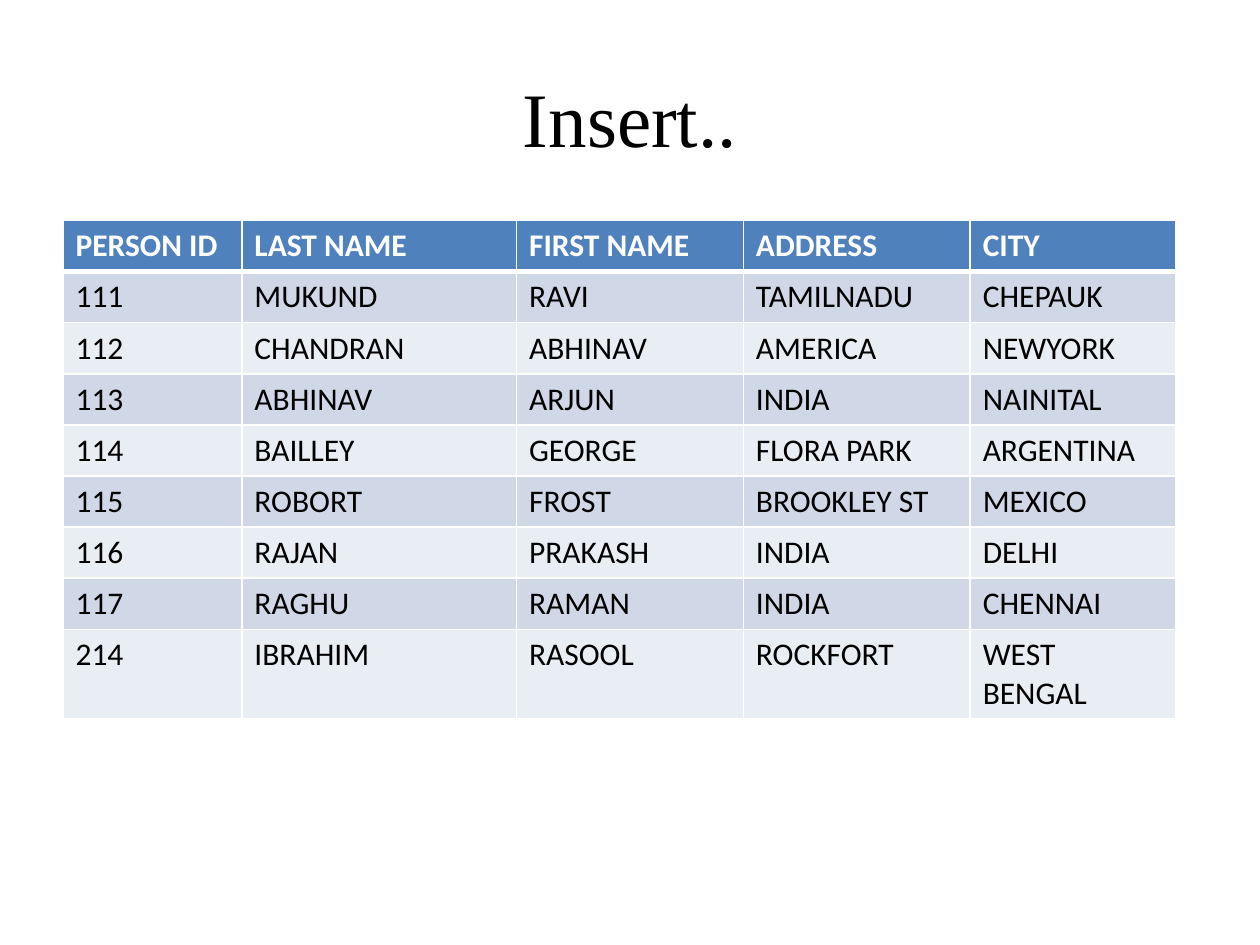
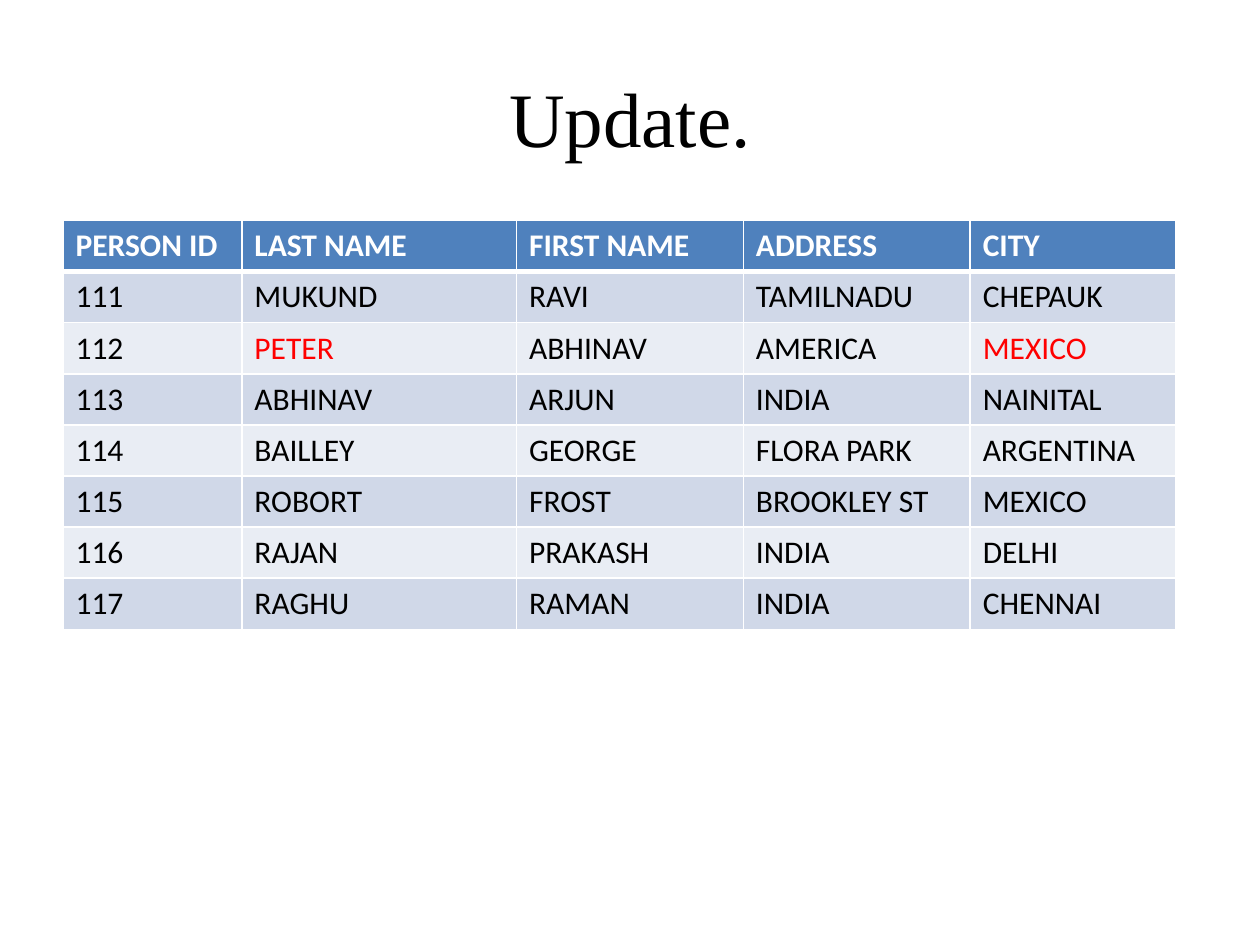
"""Build two slides that show a person table after an insert and after an update."""
from lxml.etree import SubElement
from pptx import Presentation
from pptx.dml.color import RGBColor
from pptx.enum.text import MSO_ANCHOR as Anchor, PP_ALIGN as Align
from pptx.oxml.ns import qn
from pptx.util import Inches, Pt

BLACK, WHITE, RED = "000000", "FFFFFF", "FF0000"
HEAD, BANDS = "4F81BD", ("D0D8E8", "E9EDF4")
WIDTHS = (1.42, 2.18, 1.8, 1.8, 1.63)
HEIGHT = 3.24 / 8
TITLE = {"size": Pt(44), "name": "Times New Roman"}
CELL = {"size": Pt(18), "name": "Calibri"}

FIELDS = ("PERSON ID", "LAST NAME", "FIRST NAME", "ADDRESS", "CITY")
PEOPLE = [
    ("111", "MUKUND", "RAVI", "TAMILNADU", "CHEPAUK"),
    ("112", "CHANDRAN", "ABHINAV", "AMERICA", "NEWYORK"),
    ("113", "ABHINAV", "ARJUN", "INDIA", "NAINITAL"),
    ("114", "BAILLEY", "GEORGE", "FLORA PARK", "ARGENTINA"),
    ("115", "ROBORT", "FROST", "BROOKLEY ST", "MEXICO"),
    ("116", "RAJAN", "PRAKASH", "INDIA", "DELHI"),
    ("117", "RAGHU", "RAMAN", "INDIA", "CHENNAI"),
]
ADDED = ("214", "IBRAHIM", "RASOOL", "ROCKFORT", "WEST BENGAL")
CHANGES = {(2, 1): "PETER", (2, 4): "MEXICO"}
SLIDES = [("Insert..", PEOPLE + [ADDED], {}), ("Update.", PEOPLE, CHANGES)]


def paint(target, color):
    target.rgb = RGBColor.from_string(color)


def style(font, color, looks):
    for key, value in looks.items():
        setattr(font, key, value)
    paint(font.color, color)


deck = Presentation()
deck.slide_width, deck.slide_height = Inches(10), Inches(7.5)

for heading, people, changes in SLIDES:
    slide = deck.slides.add_slide(deck.slide_layouts[5])
    title = slide.shapes.title
    title.left, title.top = Inches(0.5), Inches(0.3)
    title.width, title.height = Inches(9), Inches(1.25)
    title.text_frame.text = heading
    title.text_frame.vertical_anchor = Anchor.MIDDLE
    line = title.text_frame.paragraphs[0]
    line.alignment = Align.CENTER
    style(line.runs[0].font, BLACK, TITLE)

    rows = [FIELDS] + people
    table = slide.shapes.add_table(
        len(rows), len(FIELDS), Inches(0.5), Inches(1.75),
        Inches(sum(WIDTHS)), Inches(HEIGHT * len(rows))).table
    for column, width in zip(table.columns, WIDTHS):
        column.width = Inches(width)

    for r, row in enumerate(rows):
        for c, text in enumerate(row):
            cell = table.cell(r, c)
            edges = {"L": 1, "R": 1, "T": 3 if r == 1 else 1, "B": 1 if r else 3}
            props = cell._tc.get_or_add_tcPr()
            for side, points in edges.items():
                edge = SubElement(props, qn(f"a:ln{side}"), w=str(Pt(points)))
                fill = SubElement(edge, qn("a:solidFill"))
                SubElement(fill, qn("a:srgbClr"), val=WHITE)
            cell.fill.solid()
            paint(cell.fill.fore_color, BANDS[(r - 1) % 2] if r else HEAD)
            cell.text = changes.get((r, c), text)
            color = RED if (r, c) in changes else BLACK if r else WHITE
            font = cell.text_frame.paragraphs[0].runs[0].font
            style(font, color, {**CELL, "bold": r == 0})

deck.save("out.pptx")
